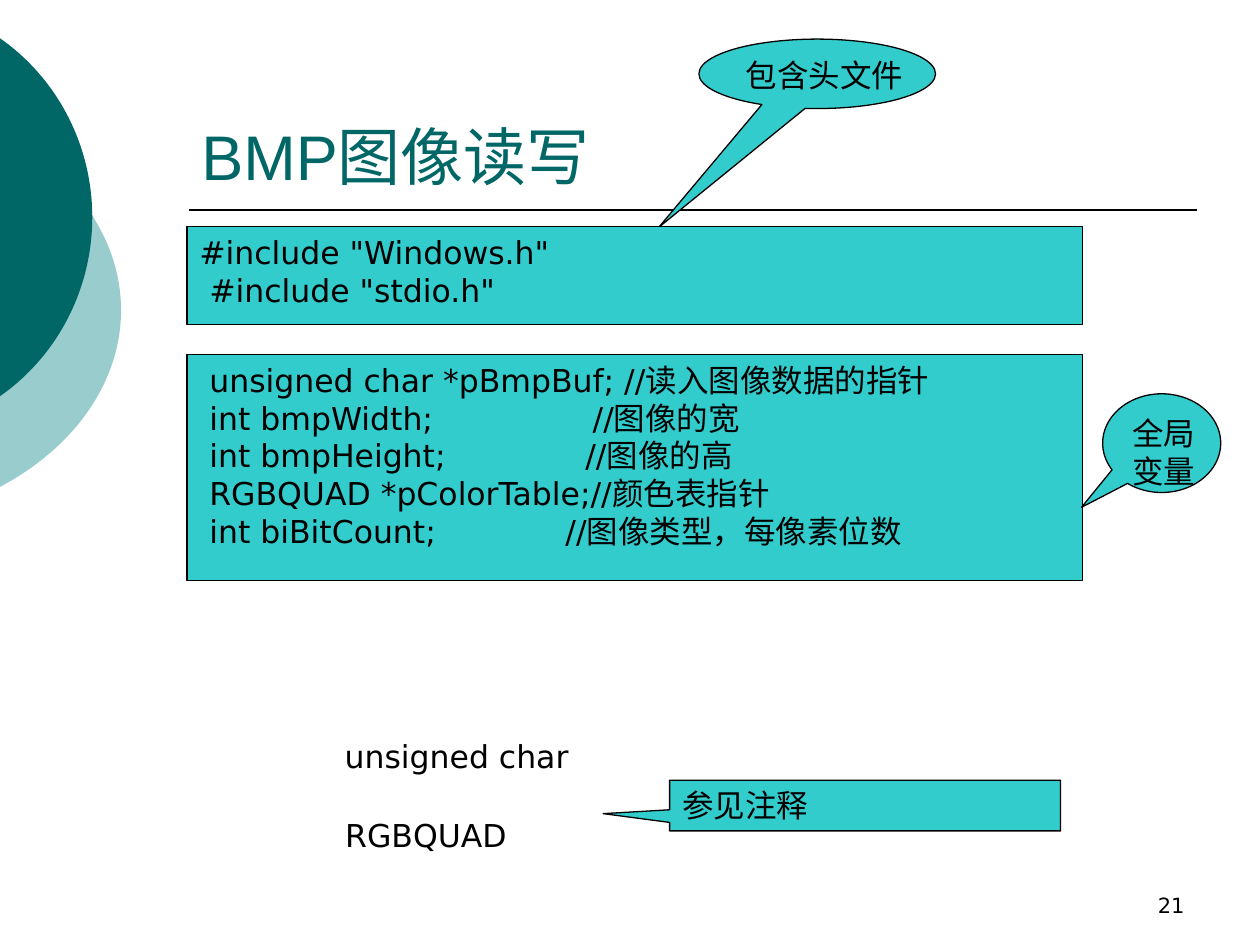
import pptx
import pptx.util
import pptx.dml.color
import pptx.enum.shapes
import pptx.enum.text
import pptx.oxml
import pptx.oxml.ns
from pptx.util import Cm

RGBColor = pptx.dml.color.RGBColor
SHAPE = pptx.enum.shapes.MSO_SHAPE
ANCHOR = pptx.enum.text.MSO_ANCHOR
ALIGN = pptx.enum.text.PP_ALIGN

BLACK = RGBColor(0x00, 0x00, 0x00)
DARK_TEAL = RGBColor(0x00, 0x66, 0x66)
PALE_TEAL = RGBColor(0x99, 0xCC, 0xCC)
TURQUOISE = RGBColor(0x33, 0xCC, 0xCC)

DECLARATIONS = [
    (" unsigned char *pBmpBuf; //读入图像数据的指针", None),
    (" int bmpWidth;\t//图像的宽", 7.93),
    (" int bmpHeight;\t//图像的高", 7.78),
    (" RGBQUAD *pColorTable;//颜色表指针", None),
    (" int biBitCount;\t//图像类型，每像素位数", 7.38),
]


def add_tab_stop(p, position):
    tabs = pptx.oxml.parse_xml(
        f'<a:tabLst {pptx.oxml.ns.nsdecls("a")}>'
        f'<a:tab pos="{Cm(position)}" algn="l"/></a:tabLst>')
    p._p.get_or_add_pPr().append(tabs)


def write_text(sp, lines, size=18, font="DejaVu Sans", color=BLACK,
               align=ALIGN.LEFT, anchor=ANCHOR.TOP, wrap=False):
    tf = sp.text_frame
    tf.word_wrap = wrap
    tf.vertical_anchor = anchor
    for i, (text, tab) in enumerate(lines):
        p = tf.add_paragraph() if i else tf.paragraphs[0]
        p.alignment = align
        if tab:
            add_tab_stop(p, tab)
        r = p.add_run()
        r.text = text
        r.font.size = pptx.util.Pt(size)
        r.font.name = font
        r.font.color.rgb = color


def add_label(s, box, text, **text_format):
    sp = s.shapes.add_textbox(*map(Cm, box))
    write_text(sp, [(text, None)], wrap=True, **text_format)


def add_filled_shape(s, kind, box, color):
    sp = s.shapes.add_shape(kind, *map(Cm, box))
    sp.shadow.inherit = False
    sp.fill.solid()
    sp.fill.fore_color.rgb = color
    return sp


def add_disc(s, box, color):
    add_filled_shape(s, SHAPE.OVAL, box, color).line.fill.background()


def add_box(s, kind, box, lines, adjustments=(), wrap=False):
    sp = add_filled_shape(s, kind, box, TURQUOISE)
    sp.line.color.rgb = BLACK
    sp.line.width = pptx.util.Pt(0.75)
    for i, value in enumerate(adjustments):
        sp.adjustments[i] = value
    write_text(sp, lines, wrap=wrap)


def add_rule(s, left, right, y):
    line = s.shapes.add_connector(pptx.enum.shapes.MSO_CONNECTOR.STRAIGHT,
                                  Cm(left), Cm(y), Cm(right), Cm(y))
    line.line.color.rgb = BLACK
    line.line.width = pptx.util.Pt(1)
    line._element.spPr.append(
        pptx.oxml.parse_xml(f'<a:effectLst {pptx.oxml.ns.nsdecls("a")}/>'))


def main():
    prs = pptx.Presentation()
    prs.slide_width, prs.slide_height = Cm(25.4), Cm(19.05)
    s = prs.slides.add_slide(prs.slide_layouts[6])

    add_disc(s, (-8.99, 1.91, 11.43, 8.69), PALE_TEAL)
    add_disc(s, (-6.73, 0, 8.59, 8.76), DARK_TEAL)
    add_rule(s, 3.81, 24.13, 4.24)

    add_label(s, (3.81, 0.85, 20.32, 3.17), "BMP图像读写", size=36, font="Arial",
              color=DARK_TEAL, anchor=ANCHOR.BOTTOM)
    add_label(s, (18.2, 17.36, 5.93, 1.27), "21", size=12, align=ALIGN.RIGHT,
              anchor=ANCHOR.BOTTOM)

    add_box(s, SHAPE.OVAL_CALLOUT, (14.09, 0.79, 4.77, 1.4),
            [("包含头文件", None)], (-0.67, 2.21))
    add_box(s, SHAPE.FLOWCHART_PROCESS, (3.77, 4.57, 18.05, 1.97),
            [('#include "Windows.h"', None), (' #include "stdio.h"', None)])
    add_box(s, SHAPE.FLOWCHART_PROCESS, (3.77, 7.15, 18.05, 4.56),
            DECLARATIONS, wrap=True)
    add_box(s, SHAPE.OVAL_CALLOUT, (22.23, 7.94, 2.38, 1.99),
            [("全局", None), ("变量", None)], (-0.68, 0.65))

    add_label(s, (6.7, 14.73, 6.8, 1.02), "unsigned char")
    add_label(s, (6.71, 16.33, 4.9, 1.02), "RGBQUAD")
    add_box(s, SHAPE.RECTANGULAR_CALLOUT, (13.5, 15.73, 7.88, 1.02),
            [("参见注释", None)], (-0.67, 0.16))

    prs.save("out.pptx")


if __name__ == "__main__":
    main()
